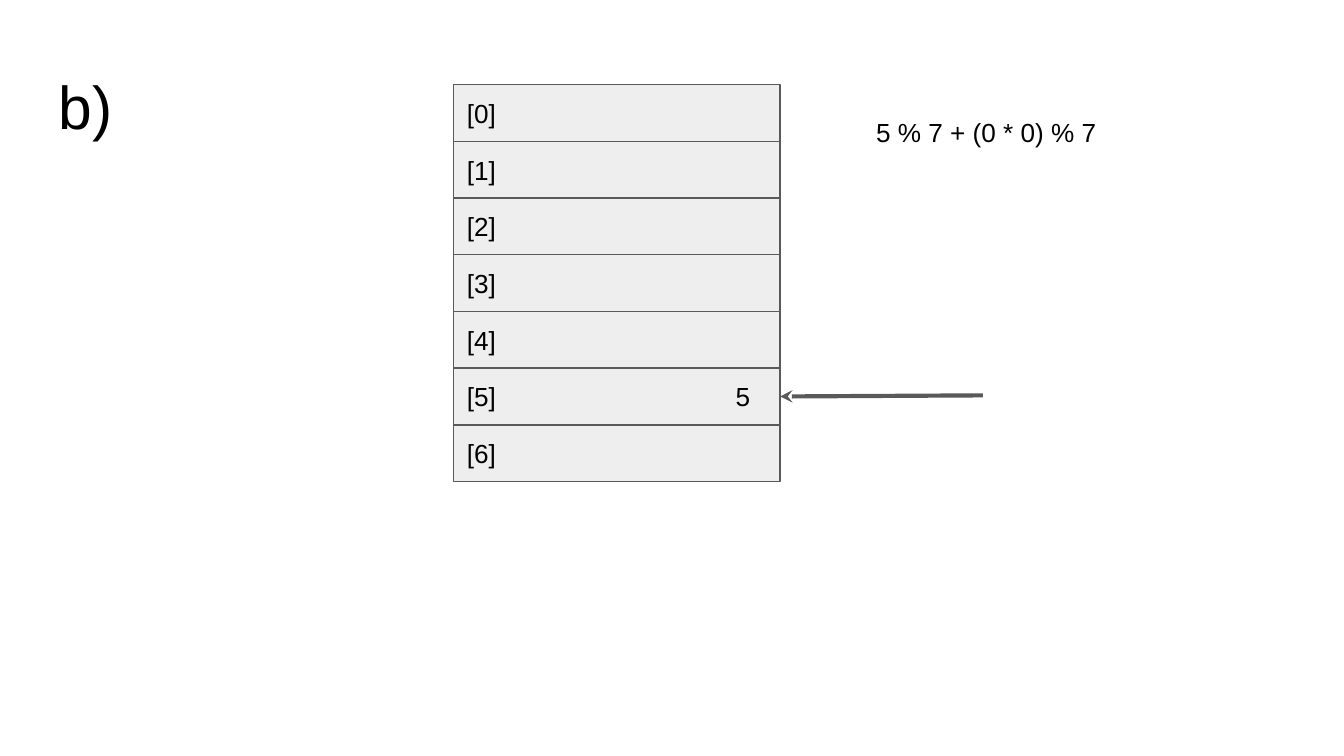
from dataclasses import dataclass

from lxml.etree import SubElement
from pptx import Presentation
from pptx.dml.color import RGBColor
from pptx.enum.shapes import MSO_CONNECTOR, MSO_SHAPE
from pptx.enum.text import MSO_ANCHOR, MSO_AUTO_SIZE, PP_ALIGN
from pptx.oxml.ns import qn
from pptx.util import Inches, Pt


@dataclass(frozen=True)
class Theme:
    font: str = "Arial"
    ink: RGBColor = RGBColor(0x00, 0x00, 0x00)
    cell: RGBColor = RGBColor(0xEE, 0xEE, 0xEE)
    stroke: RGBColor = RGBColor(0x59, 0x59, 0x59)
    paper: RGBColor = RGBColor(0xFF, 0xFF, 0xFF)
    title_size: float = 32.4
    body_size: float = 14
    border: float = 0.75
    arrow: float = 2.25
    inset: float = 0.1


def write(frame, text, *, theme, size, anchor=MSO_ANCHOR.TOP, tab=None):
    frame.word_wrap = True
    frame.vertical_anchor = anchor
    frame.margin_left = frame.margin_right = Inches(theme.inset)
    frame.margin_top = frame.margin_bottom = Inches(theme.inset)
    paragraph = frame.paragraphs[0]
    paragraph.alignment = PP_ALIGN.LEFT
    if tab:
        stops = SubElement(paragraph._p.get_or_add_pPr(), qn("a:tabLst"))
        SubElement(stops, qn("a:tab"), pos=str(tab), algn="l")
    run = paragraph.add_run()
    run.text = text
    run.font.name = theme.font
    run.font.size = Pt(size)
    run.font.color.rgb = theme.ink


class HashSlide:
    """Places elements on a grid of 40 columns by 40 rows."""

    COLUMNS = ROWS = 40

    def __init__(self, deck, theme):
        self.theme = theme
        self.column = deck.slide_width / self.COLUMNS
        self.row = deck.slide_height / self.ROWS
        self.slide = deck.slides.add_slide(deck.slide_layouts[6])
        self.slide.background.fill.solid()
        self.slide.background.fill.fore_color.rgb = theme.paper

    def place(self, *lengths):
        """Turn alternating columns and rows into slide units."""
        units = (self.column, self.row)
        return [round(length * units[i % 2]) for i, length in enumerate(lengths)]

    def label(self, text, box, size, anchor=MSO_ANCHOR.TOP, grow=False):
        label = self.slide.shapes.add_textbox(*self.place(*box))
        write(label.text_frame, text, theme=self.theme, size=size, anchor=anchor)
        if grow:
            label.text_frame.auto_size = MSO_AUTO_SIZE.SHAPE_TO_FIT_TEXT

    def bucket(self, text, box, tab):
        bucket = self.slide.shapes.add_shape(MSO_SHAPE.RECTANGLE, *self.place(*box))
        bucket.shadow.inherit = False
        bucket.fill.solid()
        bucket.fill.fore_color.rgb = self.theme.cell
        bucket.line.color.rgb = self.theme.stroke
        bucket.line.width = Pt(self.theme.border)
        write(bucket.text_frame, text, theme=self.theme, size=self.theme.body_size,
              anchor=MSO_ANCHOR.MIDDLE, tab=round(tab * self.column))
        return bucket

    def pointer(self, start, target, side):
        begin = self.place(*start)
        pointer = self.slide.shapes.add_connector(MSO_CONNECTOR.STRAIGHT, *begin, *begin)
        pointer.end_connect(target, side)
        pointer.line.color.rgb = self.theme.stroke
        pointer.line.width = Pt(self.theme.arrow)
        SubElement(pointer.line._get_or_add_ln(), qn("a:tailEnd"), type="stealth")
        SubElement(pointer._element.spPr, qn("a:effectLst"))


def main():
    deck = Presentation()
    deck.slide_width = Inches(10)
    deck.slide_height = deck.slide_width * 9 // 16
    theme = Theme()
    page = HashSlide(deck, theme)

    # Hash table: seven stacked buckets, stored key at the tab stop
    entries = ["[0]", "[1]", "[2]", "[3]", "[4]", "[5]\t5", "[6]"]
    left, top, width, height = 13.5, 4.48, 9.72, 3
    buckets = [page.bucket(entry, (left, top + index * height, width, height), tab=8)
               for index, entry in enumerate(entries)]

    # Arrow to the bucket that receives the key
    page.pointer((29.25, 20.92), buckets[5], side=3)

    # Heading and probe formula
    page.label("b)", (1.36, 3.32, 37.28, 4.5), theme.title_size, MSO_ANCHOR.MIDDLE)
    page.label("5 % 7 + (0 * 0) % 7", (25.68, 5.45, 8.16, 3.1), theme.body_size, grow=True)

    deck.save("out.pptx")


if __name__ == "__main__":
    main()
